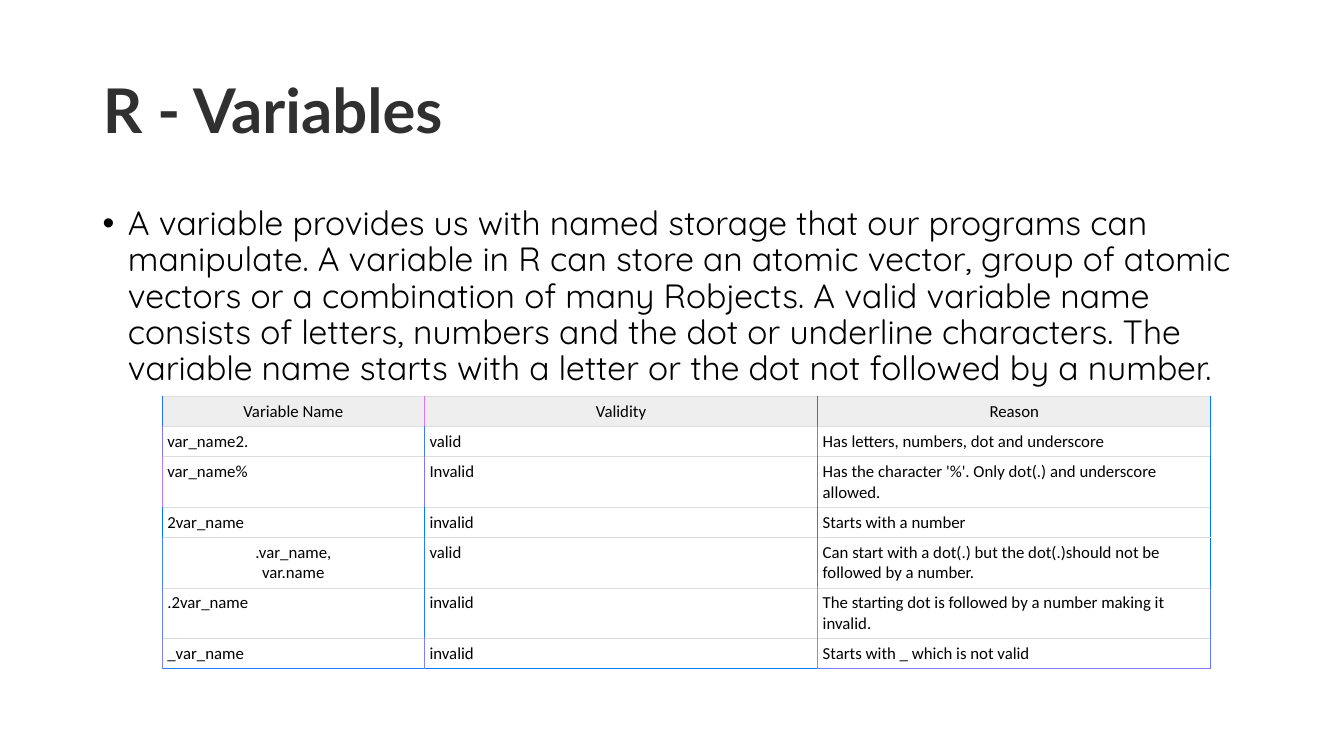
from dataclasses import dataclass

from lxml import etree
from pptx import Presentation
from pptx.dml.color import RGBColor
from pptx.enum import text as t
from pptx.oxml import ns
from pptx.util import Inches, Pt

GRID_GREY = "DDDDDD"
HEADER_FILL = "EEEEEE"
COLUMN_WIDTHS = (2.6, 3.9, 3.9)
ONE_LINE, TWO_LINES = 0.22, 0.36


@dataclass
class VariableRow:
    cells: tuple[str, str, str]
    verticals: tuple[str, str, str, str]
    height: float = ONE_LINE
    centred: tuple[int, ...] = ()
    middle: tuple[int, ...] = ()
    fill: str = ""
    bottoms: tuple[str, str, str] = (GRID_GREY,) * 3


ROWS = [
    VariableRow(("Variable Name", "Validity", "Reason"),
                ("2072FB", "E074FB", "2072FB", "0079FB"),
                centred=(0, 1, 2), fill=HEADER_FILL),
    VariableRow(("var_name2.", "valid", "Has letters, numbers, dot and underscore"),
                ("8077FB", "4079FB", "8076FB", "2079FB")),
    VariableRow(("var_name%", "Invalid",
                 "Has the character '%'. Only dot(.) and underscore allowed."),
                ("C078FB", "8076FB", "6072FB", "0072FB"), TWO_LINES),
    VariableRow(("2var_name", "invalid", "Starts with a number"),
                ("0076FB", "0080FB", "207EFB", "0076FB")),
    VariableRow((".var_name,\nvar.name", "valid",
                 "Can start with a dot(.) but the dot(.)should not be followed by a number."),
                ("407FFB", "2080FB", "407BFB", "0076FB"), TWO_LINES,
                centred=(0,), middle=(0, 2)),
    VariableRow((".2var_name", "invalid",
                 "The starting dot is followed by a number making it invalid."),
                ("6081FB", "207DFB", "A07EFB", "407BFB"), TWO_LINES),
    VariableRow(("_var_name", "invalid", "Starts with _ which is not valid"),
                ("807FFB", "807FFB", "A07BFB", "607BFB"),
                bottoms=("207DFB", "0080FB", "807EFB")),
]


def rgb(value: str) -> RGBColor:
    return RGBColor.from_string(value)


def format_runs(paragraph, font: str, size: float, colour: str, bold: bool = False) -> None:
    for run in paragraph.runs:
        run.font.name = font
        run.font.size = Pt(size)
        run.font.bold = bold
        run.font.color.rgb = rgb(colour)


def add_border(cell, side: str, colour: str, width: float) -> None:
    line = etree.SubElement(cell._tc.get_or_add_tcPr(), ns.qn(f"a:ln{side}"), w=str(Pt(width)))
    fill = etree.SubElement(line, ns.qn("a:solidFill"))
    etree.SubElement(fill, ns.qn("a:srgbClr"), val=colour)


def fill_cell(cell, row: VariableRow, column: int) -> None:
    cell.margin_left = cell.margin_right = Inches(0.05)
    cell.margin_top = cell.margin_bottom = Inches(0.05)
    cell.vertical_anchor = t.MSO_ANCHOR.MIDDLE if column in row.middle else t.MSO_ANCHOR.TOP
    cell.text_frame.text = row.cells[column]
    for paragraph in cell.text_frame.paragraphs:
        paragraph.alignment = t.PP_ALIGN.CENTER if column in row.centred else t.PP_ALIGN.LEFT
        format_runs(paragraph, "Calibri", 12, "000000")
    add_border(cell, "L", row.verticals[column], 1)
    add_border(cell, "R", row.verticals[column + 1], 1)
    add_border(cell, "T", GRID_GREY, 0.6)
    add_border(cell, "B", row.bottoms[column], 0.6)
    if row.fill:
        cell.fill.solid()
        cell.fill.fore_color.rgb = rgb(row.fill)
    else:
        cell.fill.background()


def add_title(slide) -> None:
    title = slide.shapes.title
    title.left, title.top = Inches(0.92), Inches(0.4)
    title.width, title.height = Inches(11.5), Inches(1.45)
    frame = title.text_frame
    frame.text = "R - Variables"
    frame.vertical_anchor = t.MSO_ANCHOR.MIDDLE
    frame.auto_size = t.MSO_AUTO_SIZE.NONE
    heading = frame.paragraphs[0]
    heading.alignment = t.PP_ALIGN.LEFT
    heading.line_spacing = 0.9
    format_runs(heading, "Lato", 44, "303030", True)


def add_definition(slide) -> None:
    frame = slide.shapes.add_textbox(
        Inches(0.92), Inches(2), Inches(11.5), Inches(4.76)).text_frame
    frame.word_wrap = True
    frame.text = (
        "A variable provides us with named storage that our programs can manipulate. "
        "A variable in R can store an atomic vector, group of atomic vectors or a "
        "combination of many Robjects. A valid variable name consists of letters, "
        "numbers and the dot or underline characters. The variable name starts with "
        "a letter or the dot not followed by a number.")
    definition = frame.paragraphs[0]
    definition.line_spacing = 0.9
    definition.space_before = Pt(10)
    format_runs(definition, "Quicksand", 24, "000000")
    properties = definition._p.get_or_add_pPr()
    properties.set("marL", str(Inches(0.25)))
    properties.set("indent", str(Inches(-0.25)))
    etree.SubElement(properties, ns.qn("a:buFont"), typeface="Arial")
    etree.SubElement(properties, ns.qn("a:buChar"), char="•")


def add_variable_table(slide) -> None:
    table = slide.shapes.add_table(
        len(ROWS), len(COLUMN_WIDTHS), Inches(1.61), Inches(3.93),
        Inches(sum(COLUMN_WIDTHS)), Inches(sum(row.height for row in ROWS))).table
    table.first_row = table.horz_banding = False
    for column, width in zip(table.columns, COLUMN_WIDTHS):
        column.width = Inches(width)
    for index, row in enumerate(ROWS):
        table.rows[index].height = Inches(row.height)
        for column in range(len(COLUMN_WIDTHS)):
            fill_cell(table.cell(index, column), row, column)


def main() -> None:
    deck = Presentation()
    deck.slide_width, deck.slide_height = Inches(13.33), Inches(7.5)
    slide = deck.slides.add_slide(deck.slide_layouts[5])
    add_title(slide)
    add_definition(slide)
    add_variable_table(slide)
    deck.save("out.pptx")


if __name__ == "__main__":
    main()
